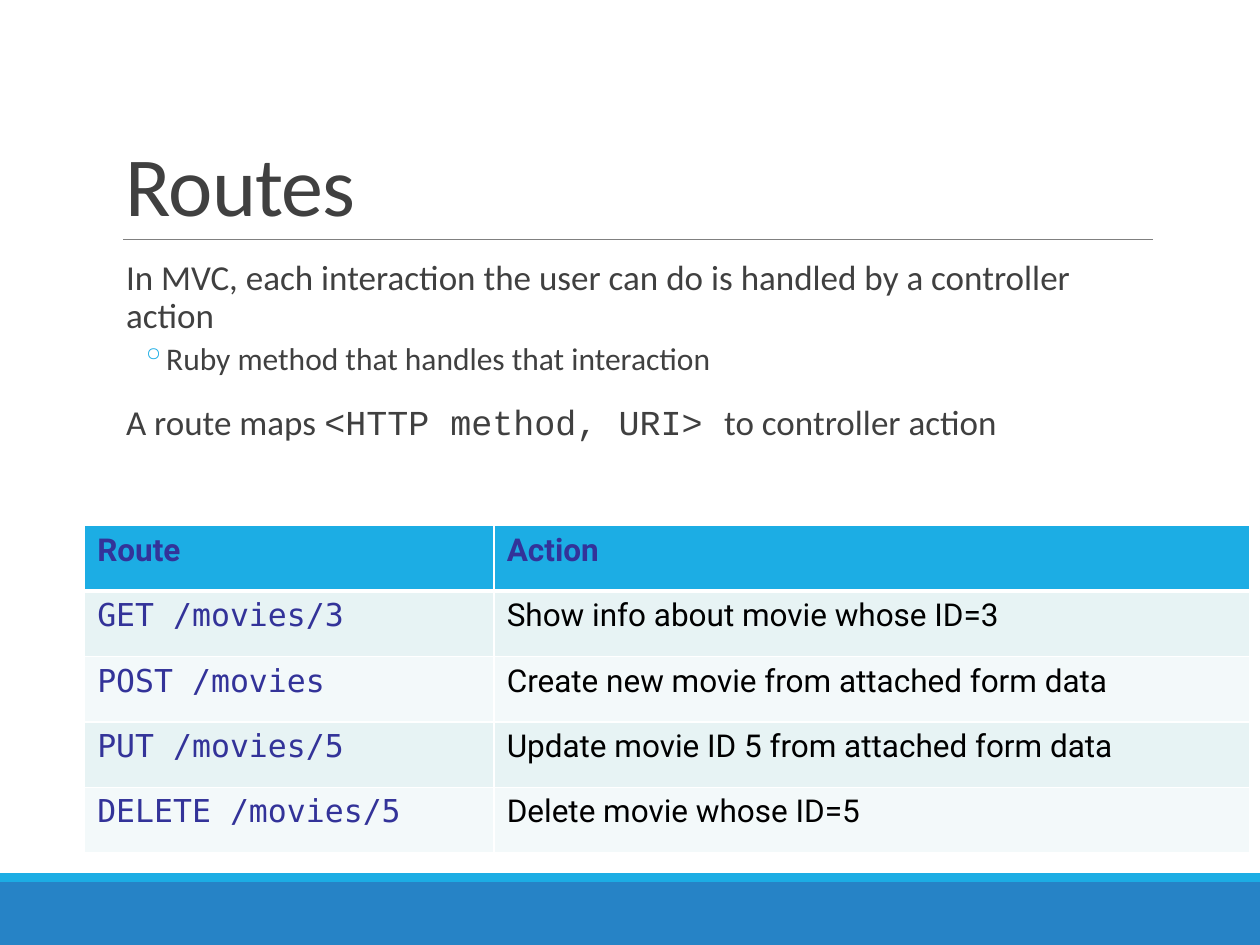
from lxml.etree import SubElement
from pptx import Presentation
from pptx.dml.color import RGBColor
from pptx.enum.shapes import MSO_CONNECTOR, MSO_SHAPE
from pptx.enum.text import MSO_ANCHOR
from pptx.oxml import parse_xml
from pptx.oxml.ns import nsdecls, qn
from pptx.util import Pt

COLORS = {
    "text": "404040", "rule": "808080", "accent": "1CADE4", "footer": "2683C6",
    "route": "333399", "action": "000000", "border": "FFFFFF",
    "odd_row": "E7F3F4", "even_row": "F3F9FA",
}
BODY_FONT, CODE_FONT = "Calibri", "Courier New"
TABLE_FONT, ROUTE_FONT = "Roboto", "DejaVu Sans Mono"

ROUTES = [
    ("GET /movies/3", "Show info about movie whose ID=3"),
    ("POST /movies", "Create new movie from attached form data"),
    ("PUT /movies/5", "Update movie ID 5 from attached form data"),
    ("DELETE /movies/5", "Delete movie whose ID=5"),
]


def rgb(name):
    return RGBColor.from_string(COLORS[name])


def add_text(paragraph, text, size=20, font=BODY_FONT, color="text", bold=False, spacing=None):
    """Append a run; spacing is the letter spacing in hundredths of a point."""
    run = paragraph.add_run()
    run.text = text
    run.font.size = Pt(size)
    run.font.name = font
    run.font.bold = bold
    run.font.color.rgb = rgb(color)
    if spacing is not None:
        run.font._element.set("spc", str(spacing))


def format_paragraph(paragraph, before=12, after=2, margin=7.2, hanging=0, bullet=None):
    paragraph.line_spacing = 0.9
    paragraph.space_before = Pt(before)
    paragraph.space_after = Pt(after)
    properties = paragraph._p.get_or_add_pPr()
    properties.set("marL", str(Pt(margin)))
    properties.set("indent", str(-Pt(hanging)))
    if bullet:
        bullet_color = SubElement(properties, qn("a:buClr"))
        SubElement(bullet_color, qn("a:srgbClr"), val=COLORS["accent"])
        SubElement(properties, qn("a:buChar"), char=bullet)


def set_borders(cell, top=1, bottom=1):
    """Draw all four cell borders, with the given top and bottom widths in points."""
    properties = cell._tc.get_or_add_tcPr()
    widths = {"lnL": 1, "lnR": 1, "lnT": top, "lnB": bottom}
    for position, (side, width) in enumerate(widths.items()):
        properties.insert(position, parse_xml(
            f'<a:{side} {nsdecls("a")} w="{Pt(width)}"><a:solidFill>'
            f'<a:srgbClr val="{COLORS["border"]}"/></a:solidFill></a:{side}>'))


class SlideBuilder:
    def __init__(self, slide):
        self.slide = slide

    def bar(self, left, top, width, height, color):
        shape = self.slide.shapes.add_shape(
            MSO_SHAPE.RECTANGLE, Pt(left), Pt(top), Pt(width), Pt(height))
        shape.shadow.inherit = False
        shape.fill.solid()
        shape.fill.fore_color.rgb = rgb(color)
        shape.line.fill.background()

    def rule(self, left, right, top):
        connector = self.slide.shapes.add_connector(
            MSO_CONNECTOR.STRAIGHT, Pt(left), Pt(top), Pt(right), Pt(top))
        connector.line.color.rgb = rgb("rule")
        connector.line.width = Pt(0.5)
        SubElement(connector._element.spPr, qn("a:effectLst"))

    def text_box(self, left, top, width, height, side_margin=7.2, anchor=MSO_ANCHOR.TOP):
        frame = self.slide.shapes.add_textbox(
            Pt(left), Pt(top), Pt(width), Pt(height)).text_frame
        frame.word_wrap = True
        frame.vertical_anchor = anchor
        frame.margin_left = frame.margin_right = Pt(side_margin)
        return frame

    def route_table(self, left, top, column_widths, row_height):
        rows = [("Route", "Action"), *ROUTES]
        table = self.slide.shapes.add_table(
            len(rows), len(column_widths), Pt(left), Pt(top),
            Pt(sum(column_widths)), Pt(row_height * len(rows))).table
        for column, width in zip(table.columns, column_widths):
            column.width = Pt(width)
        for row_index, texts in enumerate(rows):
            header = row_index == 0
            fill = "accent" if header else "odd_row" if row_index % 2 else "even_row"
            for column_index, text in enumerate(texts):
                cell = table.cell(row_index, column_index)
                cell.fill.solid()
                cell.fill.fore_color.rgb = rgb(fill)
                set_borders(cell, top=3 if row_index == 1 else 1, bottom=3 if header else 1)
                is_route = column_index == 0
                add_text(cell.text_frame.paragraphs[0], text, size=18, bold=header,
                         font=ROUTE_FONT if is_route and not header else TABLE_FONT,
                         color="route" if is_route or header else "action")


def main():
    presentation = Presentation()
    presentation.slide_width, presentation.slide_height = Pt(720), Pt(540)
    builder = SlideBuilder(presentation.slides.add_slide(presentation.slide_layouts[6]))

    builder.bar(0, 504, 720, 36, "footer")
    builder.bar(0, 499, 720, 5, "accent")
    builder.rule(70.5, 659, 136.8)

    title = builder.text_box(64.8, 22.3, 594, 114.5, anchor=MSO_ANCHOR.BOTTOM).paragraphs[0]
    title.line_spacing = 0.85
    add_text(title, "Routes", size=48, spacing=-50)

    body = builder.text_box(64.8, 145.4, 594, 316.8, side_margin=0)
    interaction = body.paragraphs[0]
    format_paragraph(interaction)
    add_text(interaction,
             "In MVC, each interaction the user can do is handled by a controller action")
    method = body.add_paragraph()
    format_paragraph(method, before=2, after=4, margin=30.2, hanging=14.4, bullet="◦")
    add_text(method, "Ruby method that handles that interaction", size=18)
    mapping = body.add_paragraph()
    format_paragraph(mapping)
    add_text(mapping, "A route maps ")
    add_text(mapping, "<HTTP method, URI> ", font=CODE_FONT)
    add_text(mapping, "to controller action")

    builder.route_table(48.4, 300.4, column_widths=(234, 432), row_height=37.4)
    presentation.save("out.pptx")


if __name__ == "__main__":
    main()
